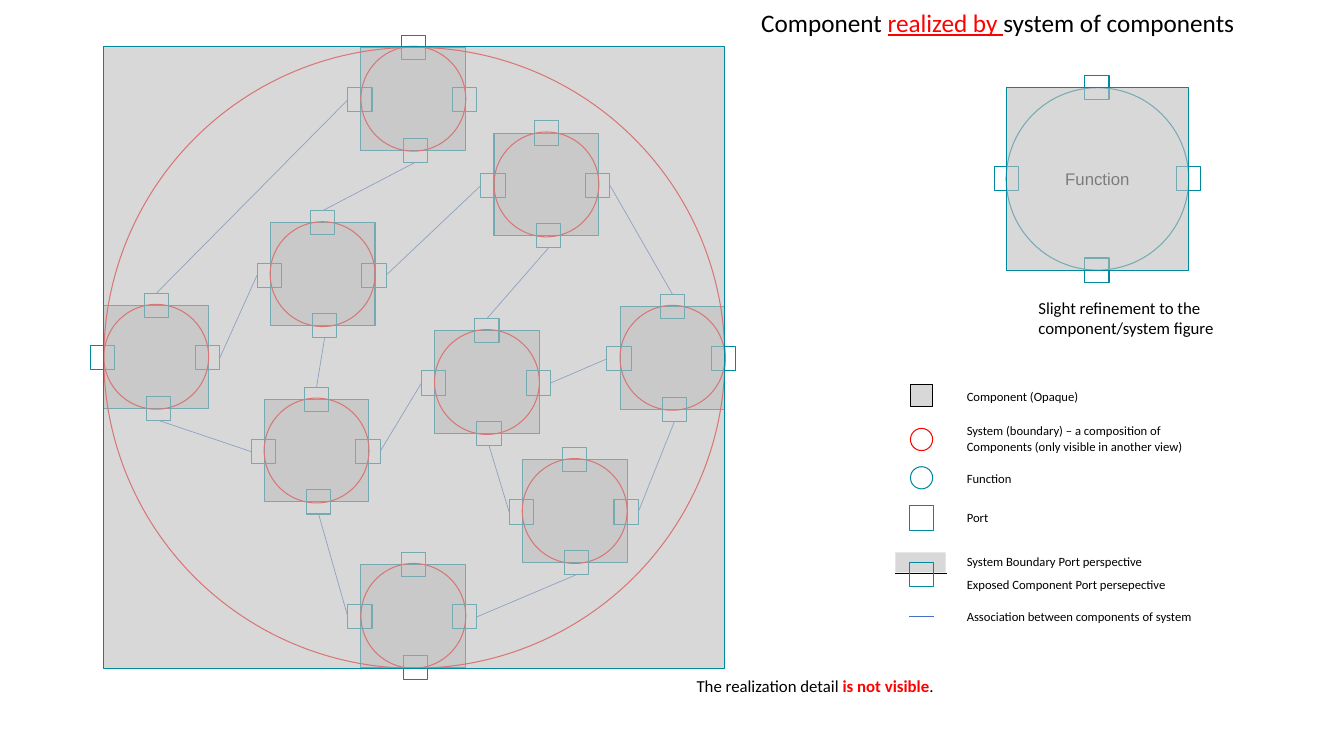
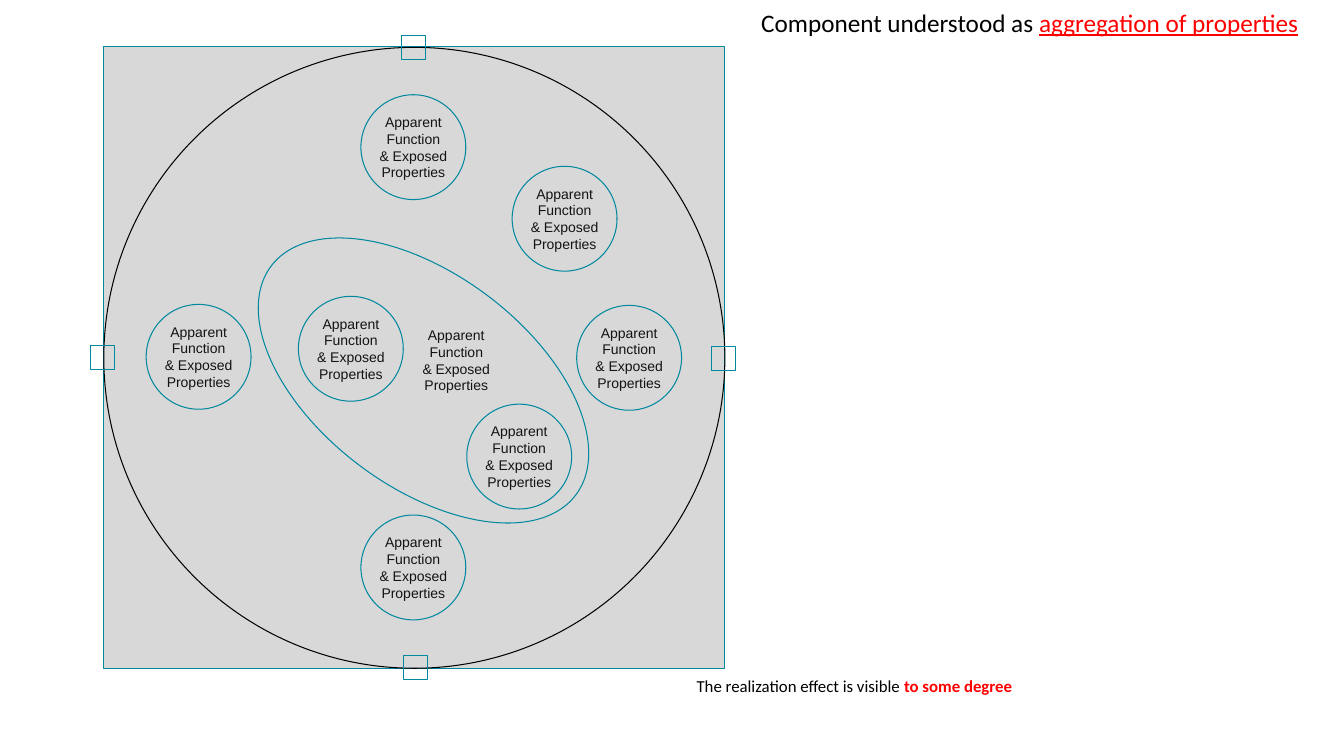
from pptx import Presentation
from pptx.dml.color import RGBColor
from pptx.enum.shapes import MSO_CONNECTOR, MSO_SHAPE
from pptx.enum.text import MSO_ANCHOR, MSO_AUTO_SIZE, PP_ALIGN
from pptx.oxml.ns import qn
from pptx.util import Emu, Pt
from lxml import etree

RECT, OVAL = MSO_SHAPE.RECTANGLE, MSO_SHAPE.OVAL
LINE = MSO_CONNECTOR.STRAIGHT
TOP, MID = MSO_ANCHOR.TOP, MSO_ANCHOR.MIDDLE
LEFT, MIDDLE = PP_ALIGN.LEFT, PP_ALIGN.CENTER
FIXED = MSO_AUTO_SIZE.NONE

SCALE = 9144  # EMU in one px, 100 px to the inch
HEX = {"teal": "00889E", "red": "FF0000", "grey": "C0C0C0",
       "blue": "4472C4", "black": "000000", "ink": "141313"}
ALPHA = 61
PORT = 24  # side of a port
DISC = 104  # width of an inner disc

# Corner of each part's disc
NODES = {"N": (358, 46), "NE": (490, 131), "NW": (268, 220),
         "W": (103, 302), "E": (615, 303), "C": (431, 327),
         "SW": (262, 395), "SE": (518, 455), "S": (358, 559)}
# Port corner, measured from its disc
SIDES = {"top": (40, -11), "left": (-13, 41),
         "bottom": (42, 91), "right": (91, 41)}
SITES = {"top": 0, "left": 1, "bottom": 2, "right": 3}
LINKS = [("W", "top", "N", "left"), ("N", "bottom", "NW", "top"),
         ("W", "bottom", "SW", "left"), ("W", "right", "NW", "left"),
         ("NE", "right", "E", "top"), ("SE", "bottom", "S", "right"),
         ("NW", "right", "NE", "left"), ("E", "bottom", "SE", "right"),
         ("SE", "left", "C", "bottom"), ("SW", "bottom", "S", "left"),
         ("C", "right", "E", "left"), ("C", "top", "NE", "bottom"),
         ("SW", "top", "NW", "bottom"), ("SW", "right", "C", "left")]
OUTER = {"N": "top", "W": "left", "S": "bottom", "E": "right"}
FRAME = (103, 46, 616, 617)
RING = (103, 47, 616, 616)

# Legend text: top, width, height, words
NOTES = [
    (381, 228, 25, "Component (Opaque)"),
    (415, 268, 40, "System (boundary) – a composition of "
                   "Components (only visible in another view)"),
    (462, 228, 25, "Function"),
    (501, 228, 25, "Port"),
    (544, 228, 25, "System Boundary Port perspective"),
    (567, 228, 25, "Exposed Component Port persepective"),
    (599, 252, 25, "Association between components of system")]

TRAITS = ["Apparent", "Function", "& Exposed", "Properties"]
DISCS = [(358, 94), (145, 302), (358, 511), (508, 165),
         (572, 303), (296, 294), (463, 401)]


def px(num):
    return Emu(num * SCALE)


def tint(name):
    return RGBColor.from_string(HEX[name])


class Deck:
    """Holds the style and the current slide."""
    head = {"name": "Calibri", "size": Pt(18), "bold": False}
    body = {"name": "Calibri", "size": Pt(12)}
    small = {"name": "Calibri", "size": Pt(9)}
    label = {"name": "Arial", "size": Pt(12), "color": "ink"}
    trait = {"name": "Arial", "size": Pt(10), "color": "ink"}
    link = {"color": "red", "underline": True}
    strong = {"color": "red", "bold": True}

    def __init__(self):
        self.prs = Presentation()
        self.prs.slide_width, self.prs.slide_height = px(1333), px(750)

    def page(self, *runs, width):
        layout = self.prs.slide_layouts[5]
        self.slide = self.prs.slides.add_slide(layout)
        self.shapes = self.slide.shapes
        title = self.shapes.title
        title.left, title.top = px(745), px(2)
        title.width, title.height = px(width), px(40)
        self.fill_in(title, [runs], self.head, wrap=False)

    def fill_in(self, shape, paras, style, align=LEFT, anchor=TOP, wrap=True):
        """Each paragraph is a list of (text, format) runs."""
        frame = shape.text_frame
        frame.auto_size, frame.word_wrap = FIXED, wrap
        frame.vertical_anchor = anchor
        for i, runs in enumerate(paras):
            para = frame.add_paragraph() if i else frame.paragraphs[0]
            para.alignment = align
            for text, extra in runs:
                run = para.add_run()
                run.text = text
                look = {"color": "black", **style, **extra}
                run.font.color.rgb = tint(look.pop("color"))
                for key, val in look.items():
                    setattr(run.font, key, val)

    def text(self, box, paras, style, **opts):
        shape = self.shapes.add_textbox(*map(px, box))
        self.fill_in(shape, paras, style, **opts)

    def shape(self, kind, box, line="teal", fill=None, home=None):
        item = (home or self.shapes).add_shape(kind, *map(px, box))
        item.shadow.inherit = False
        if fill:
            item.fill.solid()
            item.fill.fore_color.rgb = tint(fill)
            color = item._element.spPr.find(
                qn("a:solidFill") + "/" + qn("a:srgbClr"))
            etree.SubElement(color, qn("a:alpha"), val=str(ALPHA * 1000))
        else:
            item.fill.background()
        if line:
            item.line.color.rgb = tint(line)
            item.line.width = Pt(0.75)
        else:
            item.line.fill.background()
        return item

    def wire(self, x1=0, y1=0, x2=0, y2=0, color="blue"):
        item = self.shapes.add_connector(LINE, *map(px, (x1, y1, x2, y2)))
        item.line.color.rgb = tint(color)
        item.line.width = Pt(0.5)
        etree.SubElement(item._element.spPr, qn("a:effectLst"))
        return item

    def port(self, x, y, home=None):
        return self.shape(RECT, (x, y, PORT, PORT), home=home)

    def node(self, x, y):
        """A grey part with its red disc and four ports."""
        home = self.shapes.add_group_shape().shapes
        self.shape(RECT, (x, y + 1, DISC, 102), fill="grey", home=home)
        self.shape(OVAL, (x, y, DISC, DISC), "red", home=home)
        return {side: self.port(x + dx, y + dy, home)
                for side, (dx, dy) in SIDES.items()}

    def foot(self, *runs, width):
        self.text((681, 665, width, 30), [runs], self.body)


def realized(deck):
    deck.page(("Component ", {}), ("realized by ", deck.link),
              ("system of components", {}), width=495)

    # Parts and the links between their ports
    ports = {key: deck.node(*spot) for key, spot in NODES.items()}
    for a, out, b, into in LINKS:
        wire = deck.wire()
        wire.begin_connect(ports[a][out], SITES[out])
        wire.end_connect(ports[b][into], SITES[into])

    # Simple component
    x, y, size = 998, 87, 181
    disc = deck.shape(OVAL, (x, y, size, size))
    deck.fill_in(disc, [[("Function", {})]], deck.label,
                 align=MIDDLE, anchor=MID, wrap=False)
    half = size // 2
    for dx, dy in ((0, half), (size, half), (half, 0), (half, size)):
        deck.port(x + dx - PORT // 2, y + dy - PORT // 2)
    deck.shape(RECT, (x, y, size, size), fill="grey")
    deck.text((1020, 290, 218, 50),
              [[("Slight refinement to the component/system figure", {})]],
              deck.body)

    # Legend
    deck.shape(RECT, (903, 381, 22, 22), "black", "grey")
    deck.shape(OVAL, (903, 425, 22, 22), "red")
    deck.shape(OVAL, (903, 463, 22, 22))
    deck.port(902, 502)
    deck.shape(RECT, (888, 548, 50, 20), None, "grey")
    deck.wire(888, 569, 939, 569, "black")
    deck.port(902, 558)
    deck.wire(902, 611, 926, 611)
    for top, width, high, words in NOTES:
        deck.text((949, top, width, high), [[(words, {})]],
                  deck.small, anchor=MID)

    # Veil over the whole system
    deck.shape(OVAL, RING, "red")
    deck.shape(RECT, FRAME, fill="grey")
    deck.foot(("The realization detail ", {}),
              ("is not visible", deck.strong), (".", {}), width=305)


def grouped(deck):
    deck.page(("Component understood as ", {}),
              ("aggregation of properties", deck.link), width=559)

    # Boundary and its outer ports
    deck.shape(RECT, FRAME, fill="grey")
    deck.shape(OVAL, RING, "black")
    for key, side in OUTER.items():
        (x, y), (dx, dy) = NODES[key], SIDES[side]
        deck.port(x + dx, y + dy)

    # Property discs
    paras = [[(word, {})] for word in TRAITS]
    for x, y in DISCS:
        disc = deck.shape(OVAL, (x, y, DISC, DISC))
        deck.fill_in(disc, paras, deck.trait,
                     align=MIDDLE, anchor=MID, wrap=False)

    # Tilted cluster
    deck.shape(OVAL, (231, 272, 378, 211)).rotation = 36.9
    deck.text((360, 319, 185, 77), paras, deck.trait, align=MIDDLE)
    deck.foot(("The realization effect is visible ", {}),
              ("to some degree", deck.strong), width=345)


def main():
    deck = Deck()
    realized(deck)
    grouped(deck)
    deck.prs.save("out.pptx")


if __name__ == "__main__":
    main()
